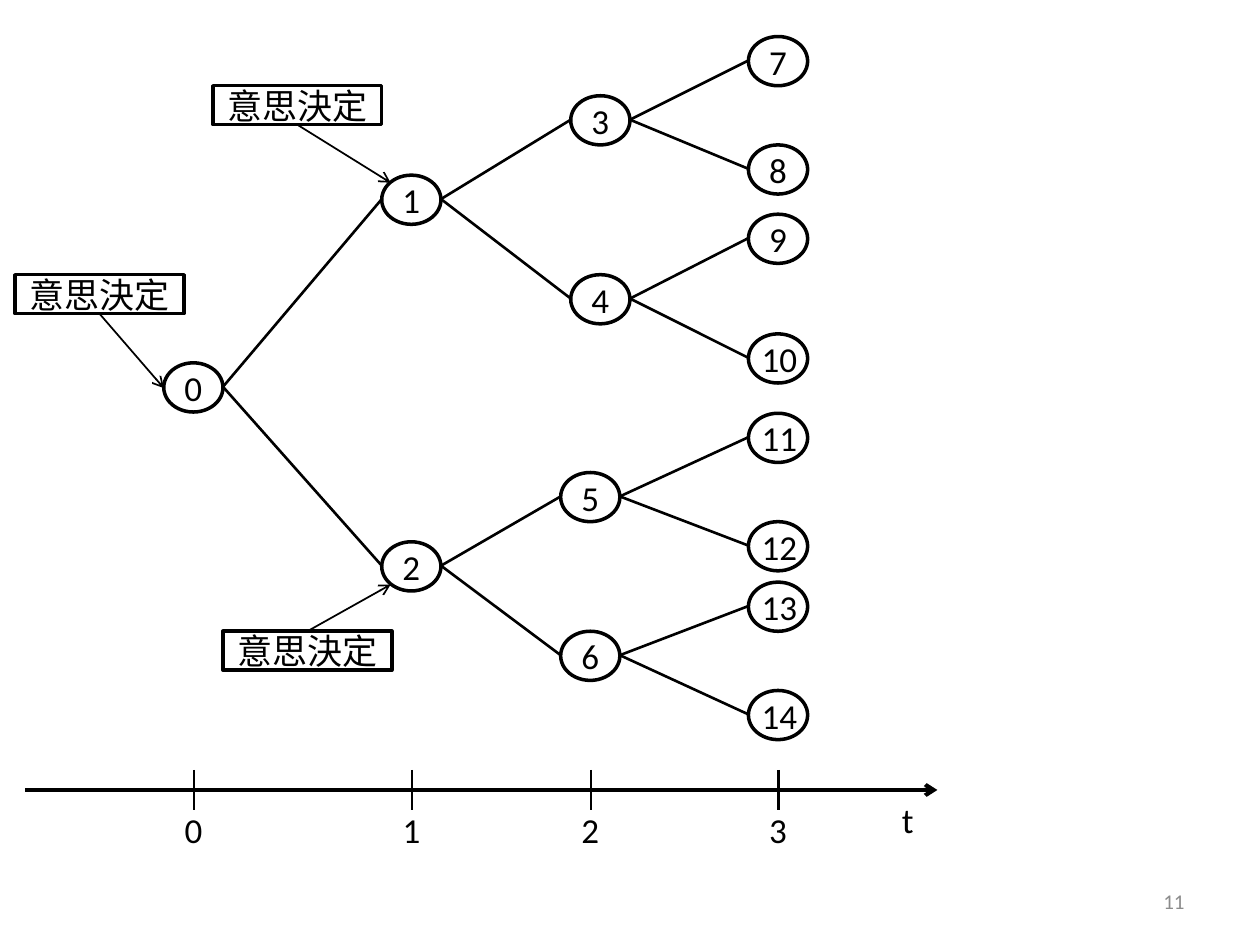
from lxml import etree
from pptx import Presentation
from pptx import util as u
from pptx.dml.color import RGBColor
from pptx.enum import shapes, text
from pptx.oxml.ns import qn

PX = u.Inches(1) // 100
BLACK = RGBColor(0x00, 0x00, 0x00)
WHITE = RGBColor(0xFF, 0xFF, 0xFF)
GREY = RGBColor(0x8C, 0x8C, 0x8C)
OVAL = shapes.MSO_SHAPE.OVAL
RECTANGLE = shapes.MSO_SHAPE.RECTANGLE

NODE_WIDTH, NODE_HEIGHT = 47, 39
NODES = [
    (0, 259), (173, 110), (173, 401),
    (323, 47), (323, 189), (315, 346), (315, 472),
    (464, 0), (464, 86), (464, 141), (464, 236),
    (464, 299), (464, 385), (464, 433), (464, 519),
]


def px(*lengths):
    return [length * PX for length in lengths]


def set_text(shape, words, size=20, color=BLACK, align=text.PP_ALIGN.CENTER):
    frame = shape.text_frame
    frame.vertical_anchor = text.MSO_ANCHOR.MIDDLE
    paragraph = frame.paragraphs[0]
    paragraph.text = words
    paragraph.alignment = align
    paragraph.font.size = u.Pt(size)
    paragraph.font.name = "Calibri"
    paragraph.font.color.rgb = color


def add_shape(slide, kind, box, words="", filled=True, outlined=True):
    shape = slide.shapes.add_shape(kind, *px(*box))
    shape.shadow.inherit = False
    if filled:
        shape.fill.solid()
        shape.fill.fore_color.rgb = WHITE
    else:
        shape.fill.background()
    if outlined:
        shape.line.color.rgb = BLACK
        shape.line.width = u.Pt(2)
    else:
        shape.line.fill.background()
    if words:
        frame = shape.text_frame
        frame.word_wrap = False
        frame.margin_left = frame.margin_right = 0
        frame.margin_top = frame.margin_bottom = 0
        set_text(shape, words)


def add_line(slide, start, end, width=1.5, arrow=False):
    line = slide.shapes.add_connector(
        shapes.MSO_CONNECTOR.STRAIGHT, *px(*start, *end))
    line.line.color.rgb = BLACK
    line.line.width = u.Pt(width)
    if arrow:
        etree.SubElement(line.line._get_or_add_ln(), qn("a:tailEnd"), type="arrow")
    etree.SubElement(line._element.spPr, qn("a:effectLst"))


def draw_tree(slide, left, top):
    nodes = [(left + x, top + y) for x, y in NODES]
    middle = NODE_HEIGHT // 2
    for number, (x, y) in enumerate(nodes):
        box = (x, y, NODE_WIDTH, NODE_HEIGHT)
        if number < 10:
            add_shape(slide, OVAL, box, str(number))
        else:
            add_shape(slide, OVAL, box)
            add_shape(slide, OVAL, (x - 15, y - 8, 79, 55), str(number),
                      filled=False, outlined=False)
        if number:
            parent_x, parent_y = nodes[(number - 1) // 2]
            add_line(slide, (parent_x + NODE_WIDTH, parent_y + middle),
                     (x, y + middle))


def draw_time_axis(slide, left, top, width, height):
    middle = top + height // 2
    add_line(slide, (left, middle), (left + width, middle), 2.25, arrow=True)
    labels = [("t", left + width - 39, top + 24)]
    for time, offset in enumerate([134, 307, 449, 598]):
        x = left + offset
        add_line(slide, (x, top), (x, top + height))
        labels.append((str(time), x - 16, top + height))
    for words, x, y in labels:
        add_shape(slide, RECTANGLE, (x, y, 31, 31), words, outlined=False)


def draw_decisions(slide, left, top):
    width, height = 134, 31
    decisions = [
        ((0, 150), height, (118, 240)),
        ((157, 0), height, (298, 77)),
        ((165, 433), 0, (298, 396)),
    ]
    for (x, y), arrow_offset, (target_x, target_y) in decisions:
        add_shape(slide, RECTANGLE, (left + x, top + y, width, height), "意思決定")
        add_line(slide, (left + x + width // 2, top + y + arrow_offset),
                 (left + target_x, top + target_y), 1, arrow=True)


def draw_page_number(slide, *box):
    shape = slide.shapes.add_textbox(*px(*box))
    shape.text_frame.word_wrap = True
    set_text(shape, "11", 12, GREY, text.PP_ALIGN.RIGHT)


def main():
    presentation = Presentation()
    presentation.slide_width, presentation.slide_height = px(1000, 750)
    slide = presentation.slides.add_slide(presentation.slide_layouts[6])
    draw_page_number(slide, 717, 695, 233, 40)
    draw_tree(slide, 130, 29)
    draw_time_axis(slide, 20, 611, 724, 32)
    draw_decisions(slide, 12, 68)
    presentation.save("out.pptx")


if __name__ == "__main__":
    main()
